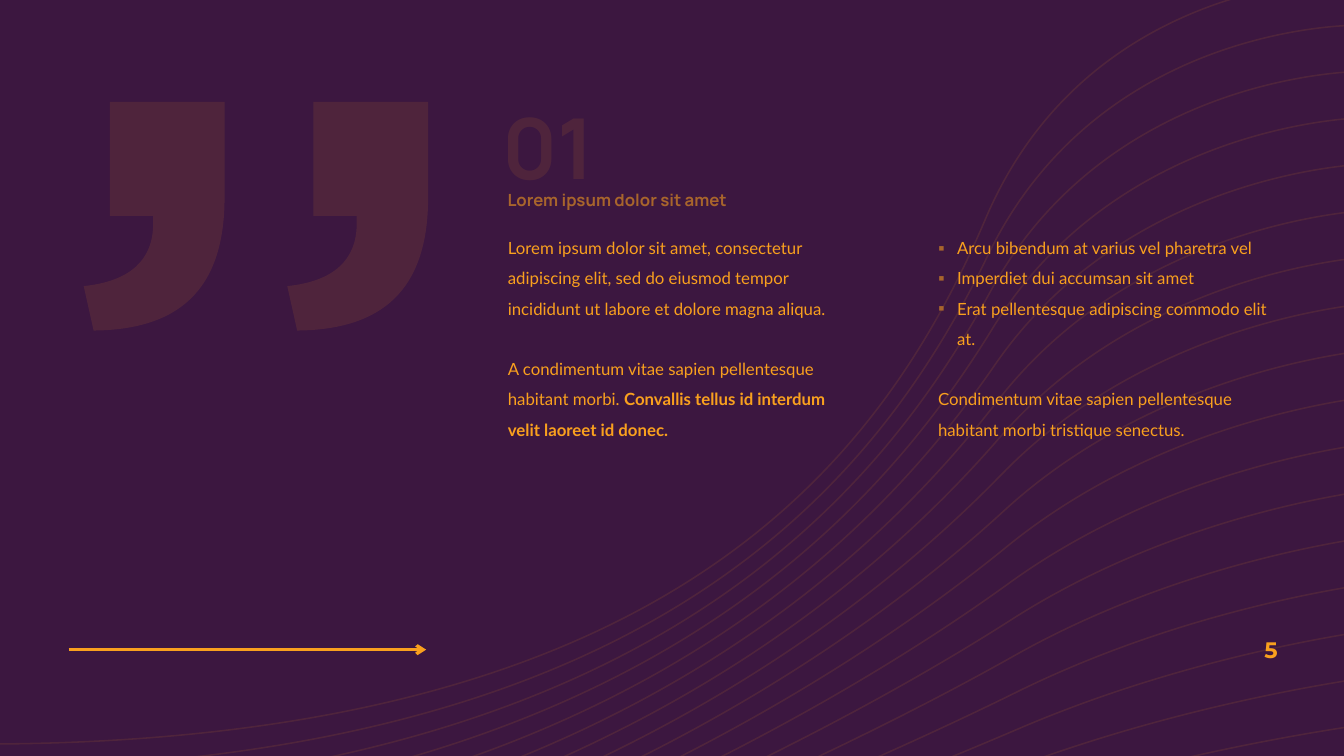
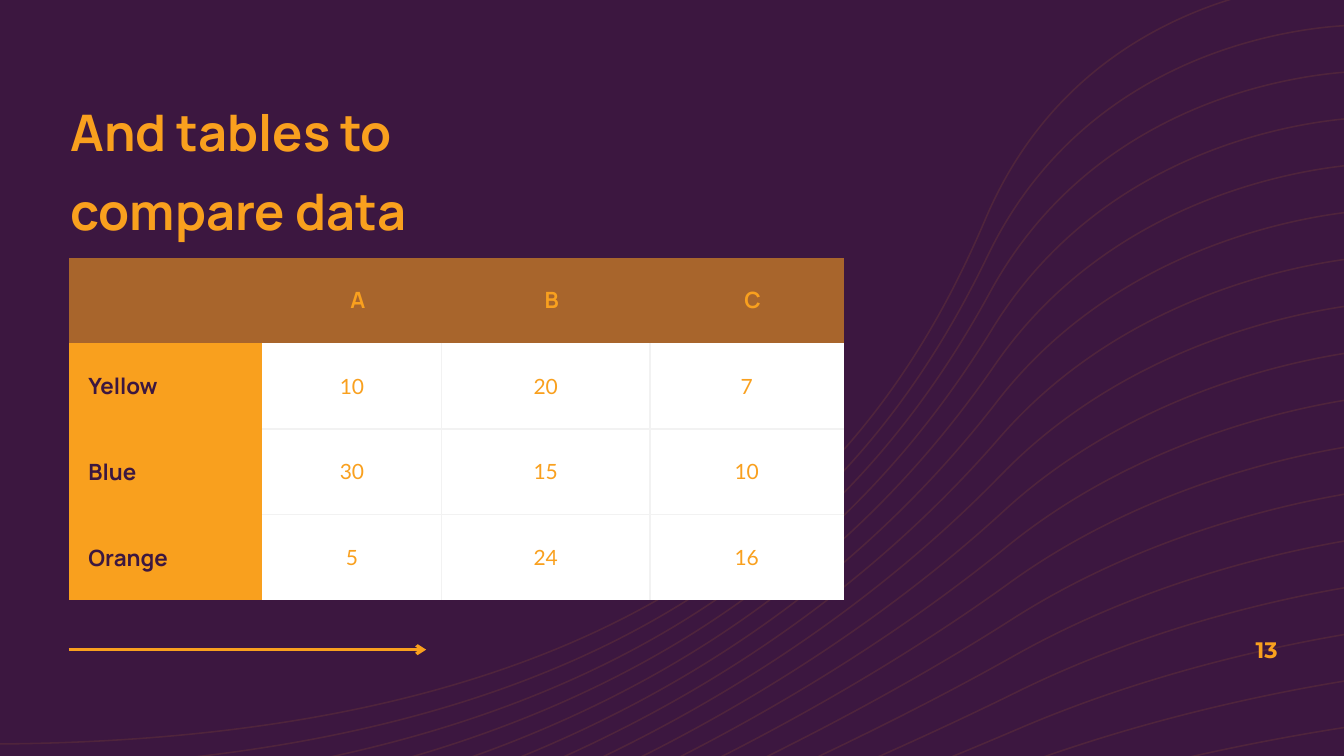
from lxml.etree import SubElement
from pptx import Presentation
from pptx.dml.color import RGBColor
from pptx.enum.shapes import MSO_CONNECTOR as Connector
from pptx.enum.text import MSO_ANCHOR as Anchor, MSO_AUTO_SIZE as AutoSize, PP_ALIGN as Align
from pptx.oxml.ns import qn
from pptx.oxml.xmlchemy import OxmlElement
from pptx.util import Cm, Pt

PLUM, ORANGE, BROWN, WHITE, PALE = "3C1740", "F9A01E", "A8652C", "FFFFFF", "F2F2F2"
HEADING, BODY, NUMBER = "Manrope", "Lato", "Montserrat"
INSETS = (0.25, 0.13, 0.25, 0.13)
FLUSH = (0, 0, 0, 0)
FAINT = 10
LINE_GAP = 21.6

WAVE_COUNT = 17
FIRST_WAVE = [(34.14, -0.53), (34.14, -0.53), (27.48, -0.69), (24.84, 5.51),
              (22.2, 11.71), (16.76, 18.75), (-0.53, 18.75)]
LAST_WAVE = [(35.51, 18.11), (35.51, 18.11), (30.94, 18.59), (25.81, 20.19),
             (18.26, 22.56), (7.59, 25.65), (1.42, 29.08)]
WAVE_BOW = [(0, 0), (0, 0), (0.2, 0.17), (0, 0), (0.22, 0.19), (0, 0), (0, 0)]

QUOTE_MARK = [(2.11, 7.21), (3.28, 7.09), (3.86, 6.55), (3.86, 5.64), (3.86, 5.44),
              (2.77, 5.44), (2.77, 2.57), (5.66, 2.57), (5.66, 4.98),
              (5.66, 7.34), (4.47, 8.31), (2.36, 8.33)]
QUOTE_STEPS = "CLLLLLC"
QUOTE_PITCH = 5.13

SECTION = {"page": "5", "number": "01", "title": "Lorem ipsum dolor sit amet"}
COLUMNS = [
    (12.55, [
        {"runs": [("Lorem ipsum dolor sit amet, consectetur adipiscing elit, sed do eiusmod "
                   "tempor incididunt ut labore et dolore magna aliqua.", False)]},
        {"runs": [("A condimentum vitae sapien pellentesque habitant morbi. ", False),
                  ("Convallis tellus id interdum velit laoreet id donec.", True)],
         "before": LINE_GAP},
    ]),
    (23.39, [
        {"runs": [("Arcu bibendum at varius vel pharetra vel", False)], "bullet": "▪"},
        {"runs": [("Imperdiet dui accumsan sit amet", False)], "bullet": "▪"},
        {"runs": [("Erat pellentesque adipiscing commodo elit at.", False)], "bullet": "▪"},
        {"runs": [("Condimentum vitae sapien pellentesque habitant morbi tristique senectus.",
                   False)], "before": LINE_GAP},
    ]),
]

COMPARISON = {"page": "13", "title": "And tables to compare data"}
TABLE_ROWS = [
    ("", "A", "B", "C"),
    ("Yellow", "10", "20", "7"),
    ("Blue", "30", "15", "10"),
    ("Orange", "5", "24", "16"),
]
COLUMN_WIDTHS = (4.88, 4.52, 5.25, 4.88)
ROW_HEIGHT = 2.16
HEADER_CELL = {"size": 16, "font": HEADING, "bold": True, "align": Align.CENTER}
LABEL_CELL = {"size": 16, "font": HEADING, "bold": True, "color": PLUM}
VALUE_CELL = {"size": 15, "align": Align.CENTER}


def paint(fill, color):
    fill.solid()
    fill.fore_color.rgb = RGBColor.from_string(color)


def fade(shape, percent):
    for color in shape.element.iter(qn("a:srgbClr")):
        SubElement(color, qn("a:alpha"), val=str(percent * 1000))


def add_bullet(paragraph, mark):
    properties = paragraph._p.get_or_add_pPr()
    properties.set("marL", str(Cm(0.48)))
    properties.set("indent", str(-Cm(0.48)))
    tint = SubElement(properties, qn("a:buClr"))
    SubElement(tint, qn("a:srgbClr"), val=BROWN)
    SubElement(properties, qn("a:buFont"), typeface=BODY)
    SubElement(properties, qn("a:buChar"), char=mark)


def write(frame, content, size=12, font=BODY, color=ORANGE, bold=False,
          align=Align.LEFT, spacing=1.0):
    if isinstance(content, str):
        content = [{"runs": [(content, bold)]}]
    for index, entry in enumerate(content):
        paragraph = frame.paragraphs[0] if index == 0 else frame.add_paragraph()
        if "bullet" in entry:
            add_bullet(paragraph, entry["bullet"])
        paragraph.alignment = align
        paragraph.line_spacing = spacing
        if "before" in entry:
            paragraph.space_before = Pt(entry["before"])
        for words, strong in entry["runs"]:
            run = paragraph.add_run()
            run.text = words
            run.font.name = font
            run.font.size = Pt(size)
            run.font.bold = strong
            paint(run.font.fill, color)


def place(shape, left, top, width, height):
    shape.left, shape.top, shape.width, shape.height = map(Cm, (left, top, width, height))


def set_insets(target, insets):
    (target.margin_left, target.margin_top,
     target.margin_right, target.margin_bottom) = map(Cm, insets)


def write_box(shape, box, content, insets=INSETS, anchor=Anchor.TOP, **style):
    place(shape, *box)
    frame = shape.text_frame
    frame.word_wrap = True
    frame.auto_size = AutoSize.NONE
    frame.vertical_anchor = anchor
    set_insets(frame, insets)
    write(frame, content, **style)
    return shape


def add_text(slide, box, content, **style):
    return write_box(slide.shapes.add_textbox(0, 0, 0, 0), box, content, **style)


def add_outline(slide, points, steps, close=False):
    start, *following = [(Cm(x), Cm(y)) for x, y in points]
    builder = slide.shapes.build_freeform(*start)
    builder.add_line_segments(following, close=close)
    shape = builder.convert_to_shape()
    shape.shadow.inherit = False
    segments = iter(list(shape.element.iter(qn("a:lnTo"))))
    for step in steps:
        segment = next(segments)
        if step == "C":
            bends = [segment, next(segments), next(segments)]
            curve = OxmlElement("a:cubicBezTo")
            segment.addprevious(curve)
            for bend in bends:
                curve.append(bend[0])
                bend.getparent().remove(bend)
    return shape


def add_wave(slide, index):
    t = index / (WAVE_COUNT - 1)
    bow = 4 * t * (1 - t)
    points = [tuple(a + (b - a) * t + c * bow for a, b, c in zip(*axes))
              for axes in zip(FIRST_WAVE, LAST_WAVE, WAVE_BOW)]
    wave = add_outline(slide, points, "CC")
    wave.fill.background()
    wave.line.width = Pt(1.1)
    paint(wave.line.fill, ORANGE)
    fade(wave, FAINT)
    return wave


def add_arrow(slide):
    arrow = slide.shapes.add_connector(Connector.STRAIGHT, Cm(1.73), Cm(16.37),
                                       Cm(10.74), Cm(16.37))
    arrow.line.width = Pt(2.25)
    paint(arrow.line.fill, ORANGE)
    SubElement(arrow.line._get_or_add_ln(), qn("a:tailEnd"), type="arrow")
    SubElement(arrow.element.spPr, qn("a:effectLst"))
    return arrow


def dress_master(master, slide):
    paint(master.background.fill, PLUM)
    waves = [add_wave(slide, index) for index in range(WAVE_COUNT)]
    tree = master.shapes.element
    for shared in (slide.shapes.add_group_shape(waves), add_arrow(slide)):
        tree.append(shared.element)
    for number, properties in enumerate(tree.iter(qn("p:cNvPr")), 1):
        properties.set("id", str(number))


def add_page_number(slide, page):
    add_text(slide, (30.47, 15.86, 1.98, 1.02), page, anchor=Anchor.MIDDLE,
             size=16, font=NUMBER, bold=True, align=Align.RIGHT)


def add_quote_mark(slide, index):
    points = [(x + index * QUOTE_PITCH, y) for x, y in QUOTE_MARK]
    mark = add_outline(slide, points, QUOTE_STEPS, close=True)
    paint(mark.fill, ORANGE)
    mark.line.fill.background()
    fade(mark, FAINT)
    return mark


def fill_section(slide):
    add_page_number(slide, SECTION["page"])
    write_box(slide.shapes.title, (12.54, 4.4, 8.89, 0.94), SECTION["title"],
              font=HEADING, color=BROWN, bold=True, spacing=1.5)
    slide.shapes.add_group_shape([add_quote_mark(slide, index) for index in range(2)])
    for left, paragraphs in COLUMNS:
        add_text(slide, (left, 5.61, 8.81, 5.54), paragraphs, spacing=1.5)
    number = add_text(slide, (12.66, 1.65, 2.67, 3.12), SECTION["number"], insets=FLUSH,
                      size=60, font=HEADING, bold=True, spacing=1.3)
    fade(number, FAINT)


def draw_borders(cell, row, column):
    last_row, last_column = len(TABLE_ROWS) - 1, len(COLUMN_WIDTHS) - 1
    body = row > 0 and column > 0
    edges = {"a:lnL": column > 1, "a:lnR": column < last_column,
             "a:lnT": row > 1, "a:lnB": row < last_row}
    for position, (tag, inner) in enumerate(edges.items()):
        border = OxmlElement(tag)
        border.set("w", str(Pt(1)))
        if body and inner:
            ink = SubElement(border, qn("a:solidFill"))
            SubElement(ink, qn("a:srgbClr"), val=PALE)
        else:
            SubElement(border, qn("a:noFill"))
        cell._tc.get_or_add_tcPr().insert(position, border)


def fill_comparison(slide):
    add_page_number(slide, COMPARISON["page"])
    write_box(slide.shapes.title, (1.78, 2.09, 10.74, 5.56), COMPARISON["title"],
              insets=FLUSH, size=36, font=HEADING, bold=True, spacing=1.3)
    table = slide.shapes.add_table(
        len(TABLE_ROWS), len(COLUMN_WIDTHS), Cm(1.73), Cm(6.49),
        Cm(sum(COLUMN_WIDTHS)), Cm(ROW_HEIGHT * len(TABLE_ROWS))).table
    table.horz_banding = False
    for column, width in zip(table.columns, COLUMN_WIDTHS):
        column.width = Cm(width)
    for r, values in enumerate(TABLE_ROWS):
        for c, value in enumerate(values):
            if r == 0:
                fill, insets, style = BROWN, (0.5, 0.15, 0.2, 0.15), HEADER_CELL
            elif c == 0:
                fill, insets, style = ORANGE, (0.5, 0.5, 0.5, 0.5), LABEL_CELL
            else:
                fill, insets, style = WHITE, (0.2, 0.15, 0.2, 0.15), VALUE_CELL
            cell = table.cell(r, c)
            paint(cell.fill, fill)
            set_insets(cell, insets)
            cell.vertical_anchor = Anchor.MIDDLE
            draw_borders(cell, r, c)
            if value:
                write(cell.text_frame, value, **style)


def main():
    deck = Presentation()
    deck.slide_width, deck.slide_height = Cm(33.87), Cm(19.05)
    title_only = deck.slide_layouts[5]
    section, comparison = [deck.slides.add_slide(title_only) for _ in range(2)]
    dress_master(deck.slide_master, section)
    fill_section(section)
    fill_comparison(comparison)
    deck.save("out.pptx")


if __name__ == "__main__":
    main()
